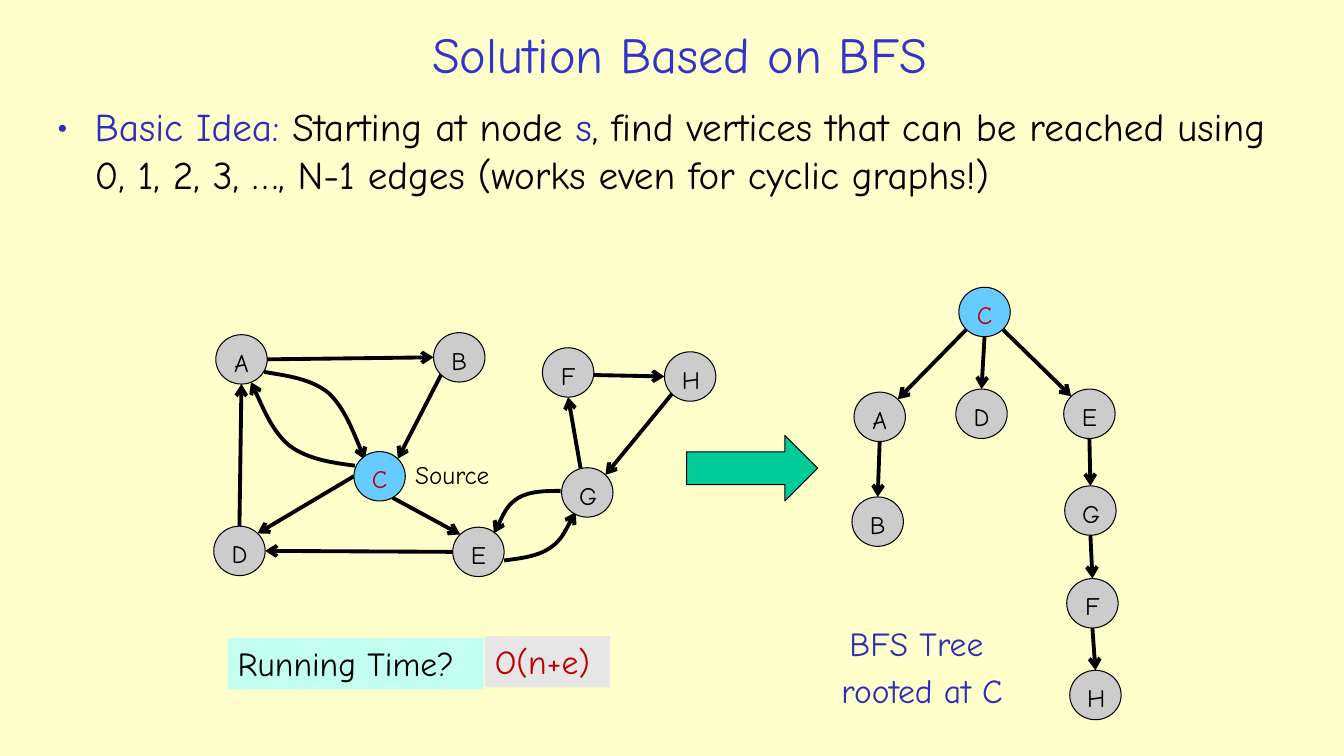
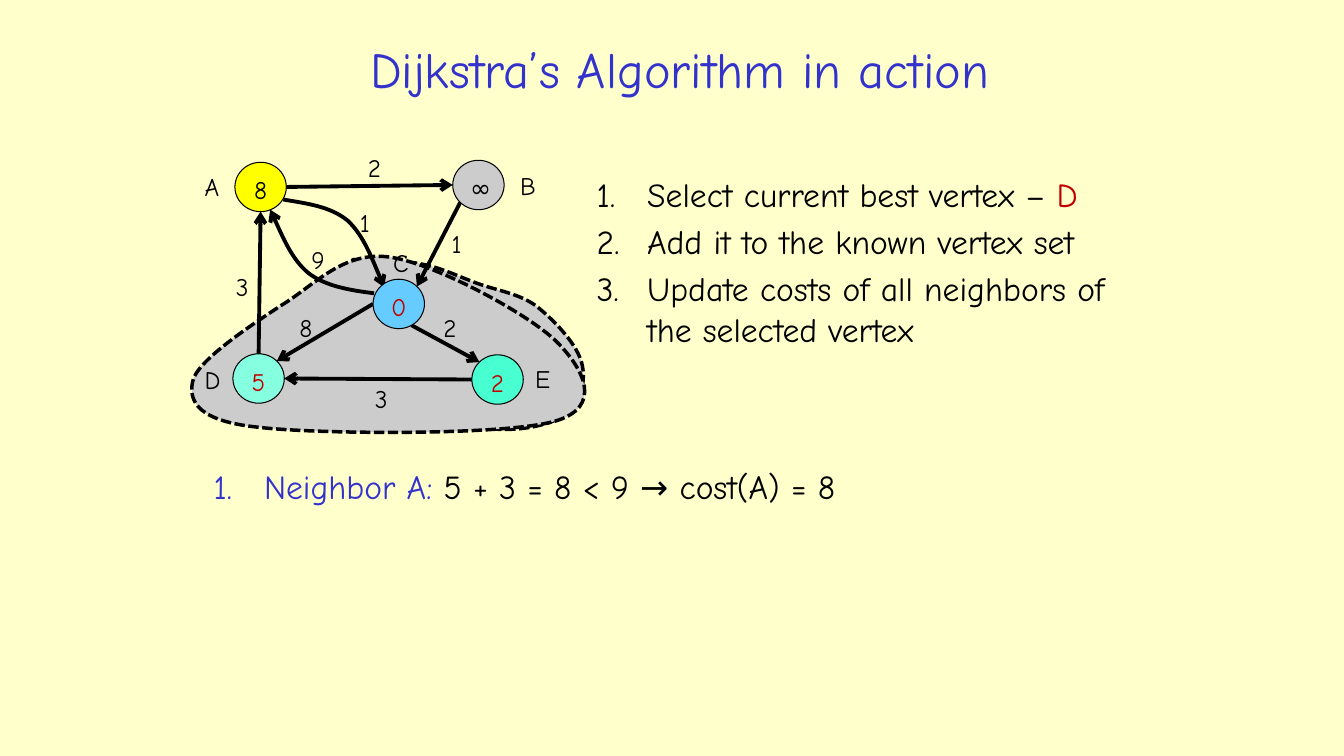
from math import cos, radians, sin

from pptx import Presentation
from pptx.dml.color import RGBColor
from pptx.enum.dml import MSO_LINE
from pptx.enum.shapes import MSO_CONNECTOR, MSO_SHAPE
from pptx.enum.text import MSO_ANCHOR, PP_ALIGN
from pptx.oxml.ns import qn
from pptx.oxml.xmlchemy import OxmlElement
from pptx.util import Inches, Pt

# Shared look
FONT = "Comic Neue"
CREAM = RGBColor(0xFF, 0xFF, 0xCC)
TITLE_BLUE = RGBColor(0x33, 0x33, 0xCC)
DEEP_BLUE = RGBColor(0x2D, 0x2D, 0xB9)
BLACK = RGBColor(0, 0, 0)
RED = RGBColor(0xC0, 0, 0)
GREY = RGBColor(0xCC, 0xCC, 0xCC)
PALE_GREY = RGBColor(0xE6, 0xE6, 0xE6)
SKY = RGBColor(0x66, 0xCC, 0xFF)
GREEN = RGBColor(0, 0xCC, 0x99)
PALE_MINT = RGBColor(0xC2, 0xFF, 0xF0)
MINT = RGBColor(0x85, 0xFF, 0xE0)
TURQUOISE = RGBColor(0x47, 0xFF, 0xD1)
YELLOW = RGBColor(0xFF, 0xFF, 0)
NODE_WIDTH, NODE_HEIGHT = 0.51, 0.49
EDGE_WEIGHT = 2.75

# Angles on a node's rim, counterclockwise from the right
E, NE, N, NW, W, SW, S, SE = range(0, 360, 45)

# Five-vertex graph that both slides show: nodes, straight edges, curved edges
CORE_NODES = {"A": (2.14, 3.32), "B": (4.3, 3.3), "C": (3.51, 4.48),
              "D": (2.12, 5.22), "E": (4.49, 5.23)}
CORE_EDGES = [("A", E, "B", W), ("D", N, "A", S), ("C", W, "D", NE),
              ("B", SW, "C", NE), ("E", W, "D", E), ("C", 300, "E", NW)]
CORE_CURVES = [
    [(3.52, 4.62), (3.28, 4.59), (3.04, 4.55), (2.87, 4.42),
     (2.7, 4.28), (2.49, 3.79), (2.49, 3.79)],
    [(2.62, 3.69), (2.86, 3.73), (3.09, 3.76), (3.26, 3.9),
     (3.42, 4.05), (3.62, 4.56), (3.62, 4.56)],
]

# Additions on the first slide
EXTRA_NODES = {"F": (5.38, 3.45), "G": (5.57, 4.64), "H": (6.59, 3.49)}
EXTRA_EDGES = [("G", 105, "F", S), ("F", 354, "H", W), ("H", SW, "G", NE)]
EXTRA_CURVES = [
    [(5, 5.56), (5.16, 5.54), (5.33, 5.52), (5.45, 5.44),
     (5.57, 5.36), (5.71, 5.08), (5.71, 5.08)],
    [(5.56, 4.87), (5.41, 4.87), (5.26, 4.87), (5.14, 4.94),
     (5.03, 5.01), (4.97, 5.15), (4.9, 5.29)],
]
TREE_NODES = {"C": (9.51, 2.85), "A": (8.47, 3.89), "D": (9.48, 3.86),
              "E": (10.55, 3.86), "B": (8.45, 4.93), "G": (10.56, 4.82),
              "F": (10.58, 5.74), "H": (10.61, 6.65)}
TREE_EDGES = [("C", SW, "A", NE), ("C", S, "D", N), ("C", SE, "E", NW),
              ("A", S, "B", N), ("E", S, "G", N), ("G", S, "F", N),
              ("F", S, "H", N)]
SOURCE_STYLE = {"C": ("C", SKY, RED)}
BASIC_IDEA = [[
    ("Basic Idea: ", DEEP_BLUE), ("Starting at node ", BLACK), ("s", DEEP_BLUE),
    (", find vertices that can be reached using 0, 1, 2, 3, …, N-1 edges "
     "(works even for cyclic graphs!)", BLACK)]]
TREE_CAPTION = [[("BFS Tree ", DEEP_BLUE)], [("rooted at C", DEEP_BLUE)]]
RUNNING_TIME = [("Running Time?", BLACK, PALE_MINT, (2.26, 6.33, 2.54, 0.51)),
                ("O(n+e)", RED, PALE_GREY, (4.81, 6.31, 1.24, 0.51))]

# Additions on the second slide
COST_SHIFT = (0.19, -1.71)
COST_STYLES = {"A": ("8", YELLOW, BLACK), "B": ("∞", GREY, BLACK),
               "C": ("0", SKY, RED), "D": ("5", MINT, RED),
               "E": ("2", TURQUOISE, RED)}
COST_LABELS = [
    ("3", 2.24, 2.64), ("9", 2.99, 2.37), ("1", 3.47, 2.01), ("2", 3.55, 1.46),
    ("1", 4.38, 2.22), ("2", 4.3, 3.05), ("8", 2.87, 3.05), ("3", 3.62, 3.75),
    ("A", 1.93, 1.65), ("B", 5.06, 1.64), ("C", 3.8, 2.4), ("D", 1.93, 3.57),
    ("E", 5.21, 3.56)]
KNOWN_REGIONS = [
    [(3.47, 2.63), (3.43, 2.76), (3.3, 3.13), (3.44, 3.37),
     (3.57, 3.62), (4.01, 3.94), (4.28, 4.08), (4.54, 4.23), (4.79, 4.26),
     (5.02, 4.26), (5.25, 4.26), (5.52, 4.2), (5.65, 4.08),
     (5.77, 3.97), (5.82, 3.74), (5.76, 3.57), (5.7, 3.39), (5.48, 3.16),
     (5.31, 3.03), (5.14, 2.91), (4.92, 2.88), (4.73, 2.81),
     (4.54, 2.74), (4.36, 2.65), (4.18, 2.62), (4, 2.58), (3.78, 2.61),
     (3.66, 2.62), (3.54, 2.62), (3.51, 2.51), (3.47, 2.63)],
    [(3.86, 2.55), (3.4, 2.49), (3.12, 2.83), (2.79, 3.03),
     (2.47, 3.24), (1.94, 3.59), (1.91, 3.79), (1.87, 3.99), (1.97, 4.18),
     (2.57, 4.24), (3.17, 4.31), (5.01, 4.32), (5.5, 4.18),
     (5.99, 4.04), (5.79, 3.66), (5.52, 3.39), (5.25, 3.12), (4.31, 2.61),
     (3.86, 2.55)],
]
STEPS = [
    [("Select current best vertex – ", BLACK), ("D", RED)],
    [("Add it to the known vertex set", BLACK)],
    [("Update costs of all neighbors of the selected vertex", BLACK)]]
NEIGHBORS = [[("Neighbor A: ", TITLE_BLUE),
              ("5 + 3 = 8 < 9 → cost(A) = 8", BLACK)]]


# Text
def add_span(para, text, size, color):
    span = para.add_run()
    span.text = text
    span.font.name = FONT
    span.font.size = Pt(size)
    span.font.color.rgb = color


def add_bullet(para, kind, value, indent, color):
    properties = para._p.get_or_add_pPr()
    properties.set("marL", str(Inches(indent)))
    properties.set("indent", str(-Inches(indent)))
    tint = OxmlElement("a:buClr")
    shade = OxmlElement("a:srgbClr")
    shade.set("val", str(color))
    tint.append(shade)
    face = OxmlElement("a:buFont")
    face.set("typeface", FONT)
    mark = OxmlElement(f"a:{kind}")
    mark.set("char" if kind == "buChar" else "type", value)
    properties.extend([tint, face, mark])


def add_text(page, place, paragraphs, size, align=PP_ALIGN.LEFT, bullet=None):
    box = page.shapes.add_textbox(*map(Inches, place))
    frame = box.text_frame
    frame.word_wrap = True
    for index, spans in enumerate(paragraphs):
        para = frame.add_paragraph() if index else frame.paragraphs[0]
        para.alignment = align
        if bullet:
            add_bullet(para, *bullet, spans[0][1])
        if index:
            para.space_before = Pt(size * 0.2)
        for text, color in spans:
            add_span(para, text, size, color)
    return box


def add_page(deck, title, top):
    page = deck.slides.add_slide(deck.slide_layouts[5])
    heading = page.shapes.title
    heading.left, heading.top, heading.width, heading.height = map(
        Inches, (1.97, top, 9.54, 0.76))
    heading.text_frame.vertical_anchor = MSO_ANCHOR.MIDDLE
    para = heading.text_frame.paragraphs[0]
    para.alignment = PP_ALIGN.CENTER
    add_span(para, title, 36, TITLE_BLUE)
    return page


# Shapes
def add_solid(page, kind, place, fill):
    shape = page.shapes.add_shape(kind, *map(Inches, place))
    shape.shadow.inherit = False
    shape.fill.solid()
    shape.fill.fore_color.rgb = fill
    shape.line.color.rgb = BLACK
    shape.line.width = Pt(0.75)
    return shape


def draw_line(shape, weight):
    shape.line.color.rgb = BLACK
    shape.line.width = Pt(weight)


def add_arrowhead(shape):
    draw_line(shape, EDGE_WEIGHT)
    tip = OxmlElement("a:tailEnd")
    tip.set("type", "arrow")
    shape._element.spPr.find(qn("a:ln")).append(tip)


def add_curve(page, points, shift=(0, 0), close=False):
    """Draw a Bézier chain: a start, then two handles and an end per segment."""
    spots = [(Inches(x + shift[0]), Inches(y + shift[1])) for x, y in points]
    builder = page.shapes.build_freeform(*spots[0])
    builder.add_line_segments(spots[1:], close=close)
    shape = builder.convert_to_shape()
    shape.shadow.inherit = False
    outline = next(shape._element.iter(qn("a:path")))
    lines = outline.findall(qn("a:lnTo"))
    for first in range(0, len(lines), 3):
        segment = OxmlElement("a:cubicBezTo")
        lines[first].addprevious(segment)
        for line in lines[first:first + 3]:
            segment.append(line[0])
            outline.remove(line)
    return shape


def rim_point(corner, angle):
    turn = radians(angle)
    return (Inches(corner[0] + NODE_WIDTH / 2 * (1 + cos(turn))),
            Inches(corner[1] + NODE_HEIGHT / 2 * (1 - sin(turn))))


def add_graph(page, nodes, edges, curves, styles, shift=(0, 0)):
    corners = {name: (x + shift[0], y + shift[1])
               for name, (x, y) in nodes.items()}
    for start, leave, end, arrive in edges:
        edge = page.shapes.add_connector(
            MSO_CONNECTOR.STRAIGHT, *rim_point(corners[start], leave),
            *rim_point(corners[end], arrive))
        add_arrowhead(edge)
        edge._element.spPr.append(OxmlElement("a:effectLst"))
    for points in curves:
        curve = add_curve(page, points, shift)
        curve.fill.background()
        add_arrowhead(curve)
    for name, corner in corners.items():
        text, fill, color = styles.get(name, (name, GREY, BLACK))
        node = add_solid(page, MSO_SHAPE.OVAL,
                         (*corner, NODE_WIDTH, NODE_HEIGHT), fill)
        node.text_frame.vertical_anchor = MSO_ANCHOR.TOP
        para = node.text_frame.paragraphs[0]
        para.alignment = PP_ALIGN.CENTER
        add_span(para, text, 18, color)


# Slides
def build_search_page(deck):
    page = add_page(deck, "Solution Based on BFS", 0.15)
    add_text(page, (0.46, 0.97, 12.52, 1.72), BASIC_IDEA, 28,
             bullet=("buChar", "•", 0.38))
    add_graph(page, CORE_NODES | EXTRA_NODES, CORE_EDGES + EXTRA_EDGES,
              CORE_CURVES + EXTRA_CURVES, SOURCE_STYLE)
    add_text(page, (4.02, 4.51, 1.03, 0.4), [[("Source", BLACK)]], 18)
    add_solid(page, MSO_SHAPE.RIGHT_ARROW, (6.81, 4.32, 1.3, 0.65), GREEN)
    add_graph(page, TREE_NODES, TREE_EDGES, [], SOURCE_STYLE)
    add_text(page, (7.92, 6.13, 2.45, 1), TREE_CAPTION, 24, PP_ALIGN.CENTER)
    for text, color, fill, place in RUNNING_TIME:
        box = add_text(page, place, [[(text, color)]], 24)
        box.fill.solid()
        box.fill.fore_color.rgb = fill


def build_cost_page(deck):
    page = add_page(deck, "Dijkstra’s Algorithm in action", 0.3)
    for points in KNOWN_REGIONS:
        region = add_curve(page, points, close=True)
        region.fill.solid()
        region.fill.fore_color.rgb = GREY
        draw_line(region, 2.5)
        region.line.dash_style = MSO_LINE.SQUARE_DOT
    add_graph(page, CORE_NODES, CORE_EDGES, CORE_CURVES, COST_STYLES, COST_SHIFT)
    for text, left, top in COST_LABELS:
        add_text(page, (left, top, 0.38, 0.4), [[(text, BLACK)]], 18)
    numbering = ("buAutoNum", "arabicPeriod", 0.5)
    add_text(page, (5.82, 1.68, 5.71, 2.04), STEPS, 24, bullet=numbering)
    add_text(page, (2.02, 4.57, 9.32, 0.72), NEIGHBORS, 24, bullet=numbering)


def main():
    deck = Presentation()
    deck.slide_width, deck.slide_height = Inches(13.33), Inches(7.5)
    backdrop = deck.slide_master.background.fill
    backdrop.solid()
    backdrop.fore_color.rgb = CREAM
    build_search_page(deck)
    build_cost_page(deck)
    deck.save("out.pptx")


if __name__ == "__main__":
    main()
